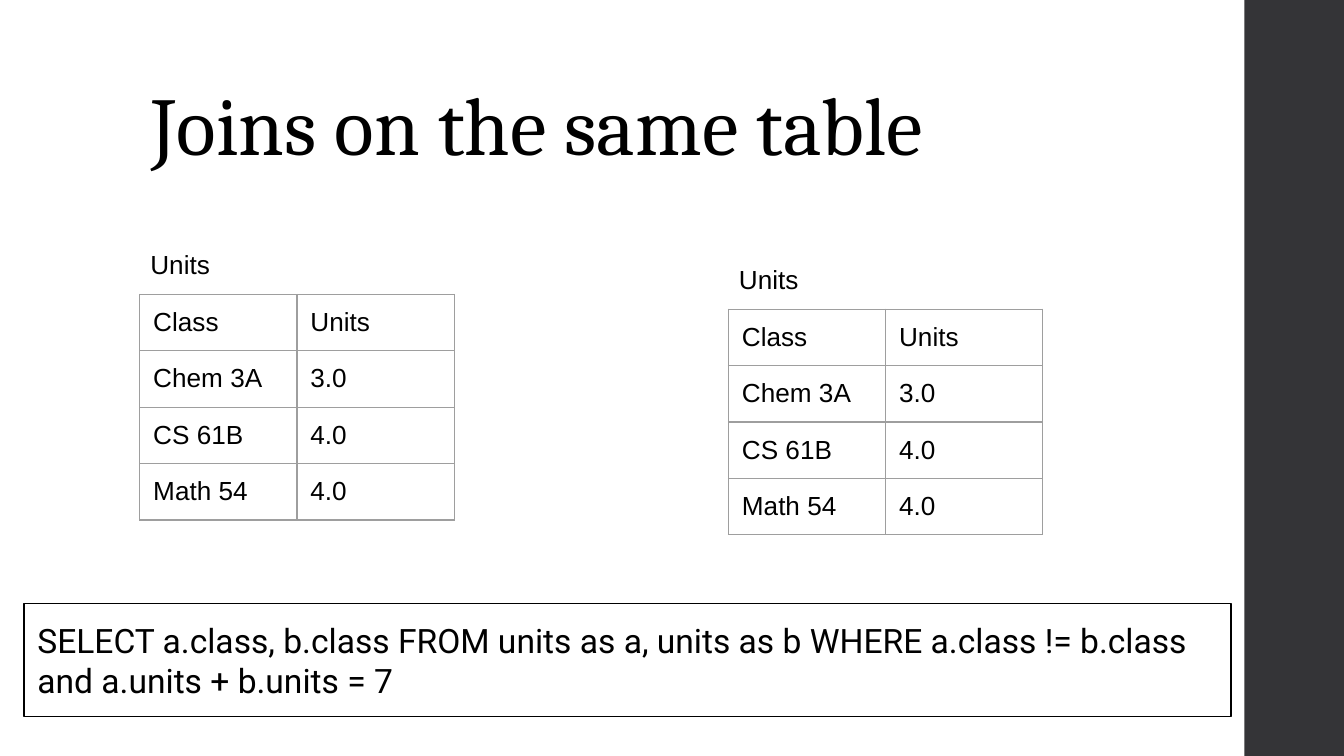
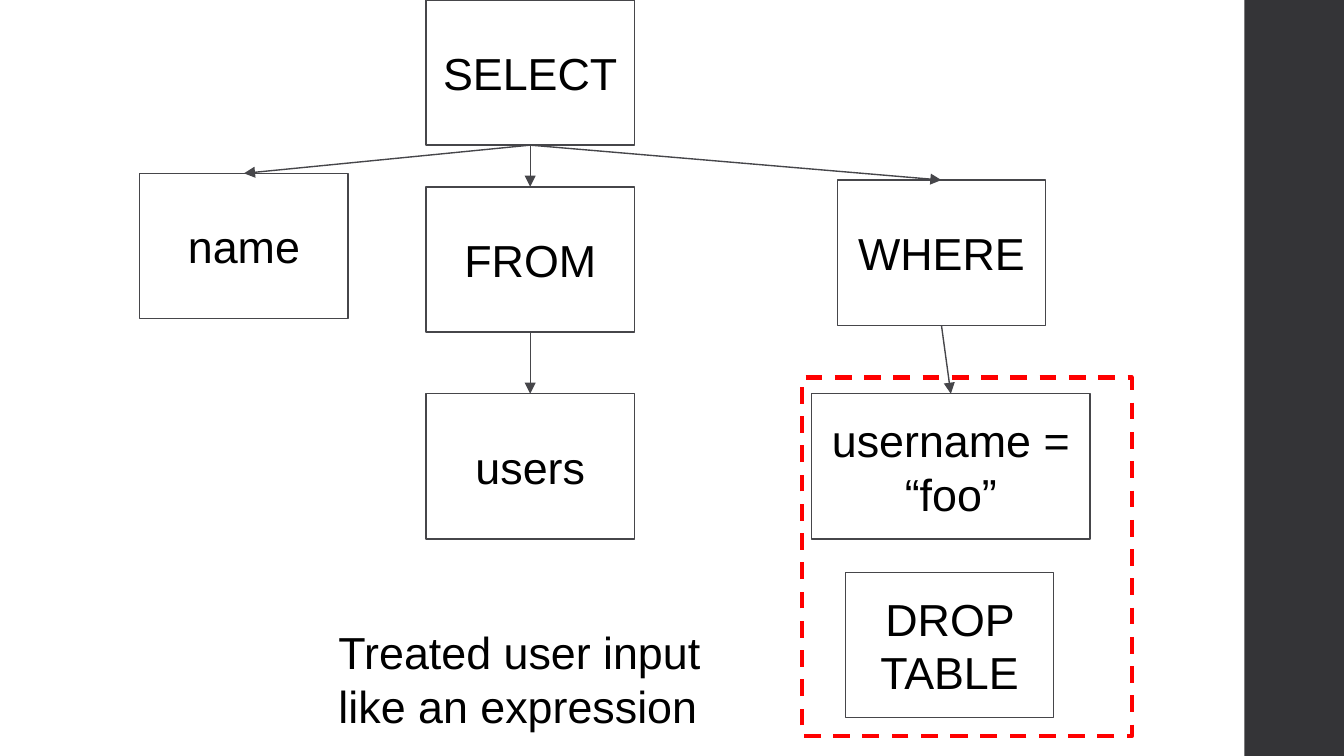
from lxml.etree import SubElement
from pptx import Presentation
from pptx.dml.color import RGBColor
from pptx.enum.dml import MSO_LINE
from pptx.enum.shapes import MSO_CONNECTOR, MSO_SHAPE
from pptx.enum.text import MSO_ANCHOR, PP_ALIGN
from pptx.oxml import parse_xml
from pptx.oxml.ns import nsdecls, qn
from pptx.util import Inches, Pt

COLORS = {
    "background": "FFFFFF",
    "band": "343437",
    "text": "000000",
    "node": "46464A",
    "grid": "9E9E9E",
    "alert": "FF0000",
}
BODY_FONT, TITLE_FONT, CODE_FONT = "Arial", "Cambria", "Roboto"
SLIDE_WIDTH = 10
SLIDE_HEIGHT = SLIDE_WIDTH * 9 / 16
BAND_LEFT = 9.26
BAND = (BAND_LEFT, 0, SLIDE_WIDTH - BAND_LEFT, SLIDE_HEIGHT)
MARGIN = Inches(0.1)

TITLE = "Joins on the same table"
QUERY = ("SELECT a.class, b.class FROM units as a, units as b "
         "WHERE a.class != b.class and a.units + b.units = 7")
TABLE_NAME = "Units"
TABLE_ROWS = [
    ("Class", "Units"),
    ("Chem 3A", "3.0"),
    ("CS 61B", "4.0"),
    ("Math 54", "4.0"),
]
TABLE_CORNERS = [(1.04, 2.19), (5.42, 2.3)]
COLUMN_WIDTH, ROW_HEIGHT = 1.17, 0.42

NODE_WIDTH, WIDE_NODE_WIDTH, NODE_HEIGHT = 1.55, 2.07, 1.08
NODES = {
    "SELECT": (3.17, 0, NODE_WIDTH),
    "name": (1.04, 1.29, NODE_WIDTH),
    "FROM": (3.17, 1.39, NODE_WIDTH),
    "users": (3.17, 2.93, NODE_WIDTH),
    "WHERE": (6.23, 1.34, NODE_WIDTH),
    "username = “foo”": (6.04, 2.93, WIDE_NODE_WIDTH),
    "DROP TABLE": (6.29, 4.26, NODE_WIDTH),
}
EDGES = [
    ("SELECT", "FROM"),
    ("SELECT", "name"),
    ("SELECT", "WHERE"),
    ("FROM", "users"),
    ("WHERE", "username = “foo”"),
]
INJECTION_FRAME = (5.97, 2.81, 2.45, 2.67)
REMARK = "Treated user input like an expression"


def color(name):
    return RGBColor.from_string(COLORS[name])


def inches(box):
    return [Inches(length) for length in box]


def write(text_frame, text, size, font=BODY_FONT, align=PP_ALIGN.LEFT):
    text_frame.text = text
    paragraph = text_frame.paragraphs[0]
    paragraph.alignment = align
    for run in paragraph.runs:
        run.font.size = Pt(size)
        run.font.name = font
        run.font.color.rgb = color("text")
    return paragraph


def set_margins(target):
    target.margin_left = target.margin_right = MARGIN
    target.margin_top = target.margin_bottom = MARGIN


def add_text(slide, box, text, size, font=BODY_FONT, anchor=MSO_ANCHOR.TOP):
    text_frame = slide.shapes.add_textbox(*inches(box)).text_frame
    text_frame.word_wrap = True
    text_frame.vertical_anchor = anchor
    set_margins(text_frame)
    return write(text_frame, text, size, font)


def add_rectangle(slide, box, fill=None, line=None, width=0.75):
    shape = slide.shapes.add_shape(MSO_SHAPE.RECTANGLE, *inches(box))
    shape.shadow.inherit = False
    if fill:
        shape.fill.solid()
        shape.fill.fore_color.rgb = color(fill)
    else:
        shape.fill.background()
    if line:
        shape.line.color.rgb = color(line)
        shape.line.width = Pt(width)
    else:
        shape.line.fill.background()
    return shape


def add_label_box(slide, box, text, size, line, font=BODY_FONT, align=PP_ALIGN.CENTER):
    shape = add_rectangle(slide, box, line=line)
    text_frame = shape.text_frame
    text_frame.word_wrap = True
    text_frame.vertical_anchor = MSO_ANCHOR.MIDDLE
    set_margins(text_frame)
    write(text_frame, text, size, font, align)
    return shape


def add_slide(presentation):
    slide = presentation.slides.add_slide(presentation.slide_layouts[6])
    slide.background.fill.solid()
    slide.background.fill.fore_color.rgb = color("background")
    add_rectangle(slide, BAND, fill="band")
    return slide


def add_borders(cell):
    properties = cell._tc.get_or_add_tcPr()
    for position, side in enumerate("LRTB"):
        properties.insert(position, parse_xml(
            f'<a:ln{side} {nsdecls("a")} w="{Pt(0.75)}"><a:solidFill>'
            f'<a:srgbClr val="{COLORS["grid"]}"/></a:solidFill></a:ln{side}>'))


def add_units_table(slide, left, top):
    row_count, column_count = len(TABLE_ROWS), len(TABLE_ROWS[0])
    box = (left, top, COLUMN_WIDTH * column_count, ROW_HEIGHT * row_count)
    table = slide.shapes.add_table(row_count, column_count, *inches(box)).table
    table.first_row = table.horz_banding = False
    for row, values in enumerate(TABLE_ROWS):
        for column, value in enumerate(values):
            cell = table.cell(row, column)
            set_margins(cell)
            cell.margin_bottom = Inches(0.08)
            cell.fill.background()
            write(cell.text_frame, value, 14)
            add_borders(cell)
    add_text(slide, (left - 0.02, top - 0.44, 1.25, 0.41), TABLE_NAME, 14)


def add_arrow(slide, parent, child):
    connector = slide.shapes.add_connector(MSO_CONNECTOR.STRAIGHT, 0, 0, 0, 0)
    connector.begin_connect(parent, 2)
    connector.end_connect(child, 0)
    connector.line.color.rgb = color("node")
    connector.line.width = Pt(0.75)
    SubElement(connector.line._get_or_add_ln(), qn("a:tailEnd"), type="triangle")
    SubElement(connector._element.spPr, qn("a:effectLst"))


def build_joins(presentation):
    slide = add_slide(presentation)
    title = add_text(slide, (1.03, 0.3, 7.95, 1.09), TITLE, 44, TITLE_FONT, MSO_ANCHOR.BOTTOM)
    title.line_spacing = 0.9
    add_label_box(slide, (0.18, 4.49, 8.98, 0.84), QUERY, 18, "text", CODE_FONT, PP_ALIGN.LEFT)
    for left, top in TABLE_CORNERS:
        add_units_table(slide, left, top)


def build_query_tree(presentation):
    slide = add_slide(presentation)
    nodes = {
        text: add_label_box(slide, (left, top, width, NODE_HEIGHT), text, 24, "node")
        for text, (left, top, width) in NODES.items()
    }
    for parent, child in EDGES:
        add_arrow(slide, nodes[parent], nodes[child])
    frame = add_rectangle(slide, INJECTION_FRAME, line="alert", width=2.25)
    frame.line.dash_style = MSO_LINE.DASH
    add_text(slide, (2.42, 4.55, 3.21, 0.81), REMARK, 24)


def main():
    presentation = Presentation()
    presentation.slide_width = Inches(SLIDE_WIDTH)
    presentation.slide_height = Inches(SLIDE_HEIGHT)
    build_joins(presentation)
    build_query_tree(presentation)
    presentation.save("out.pptx")


if __name__ == "__main__":
    main()
